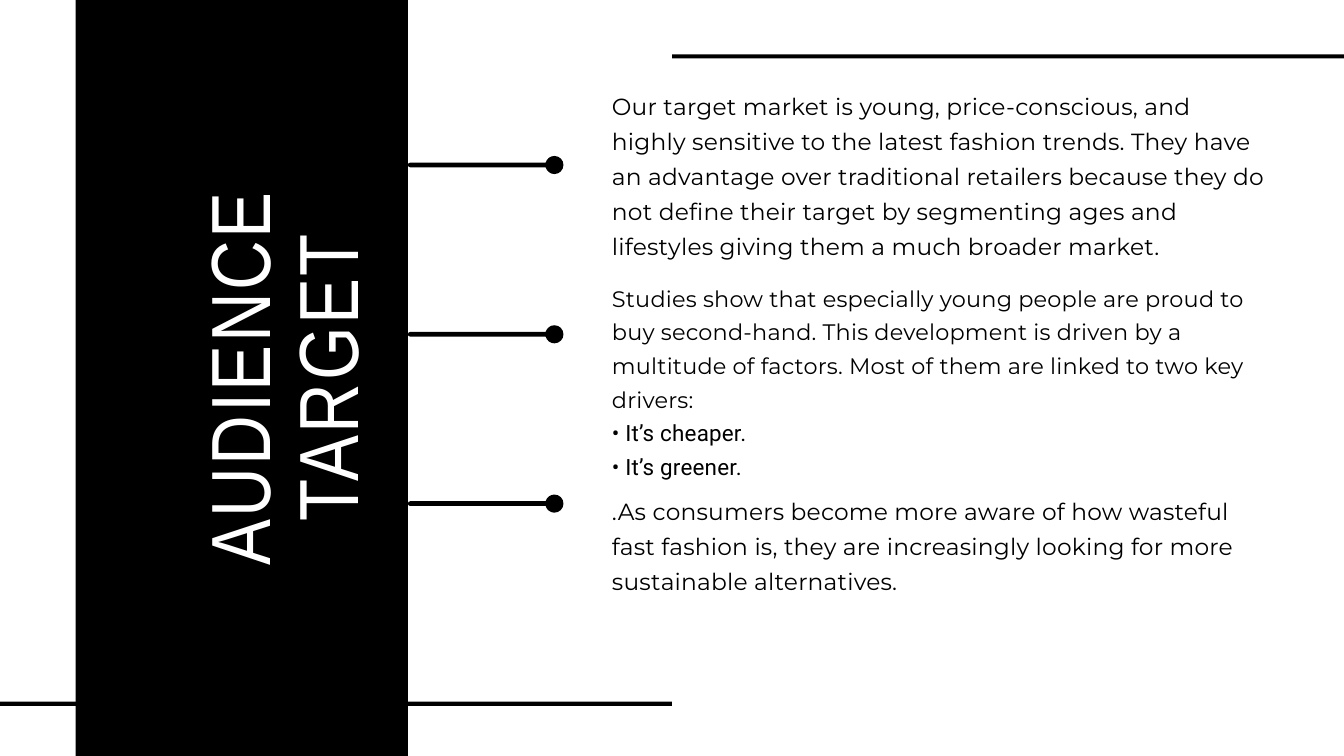
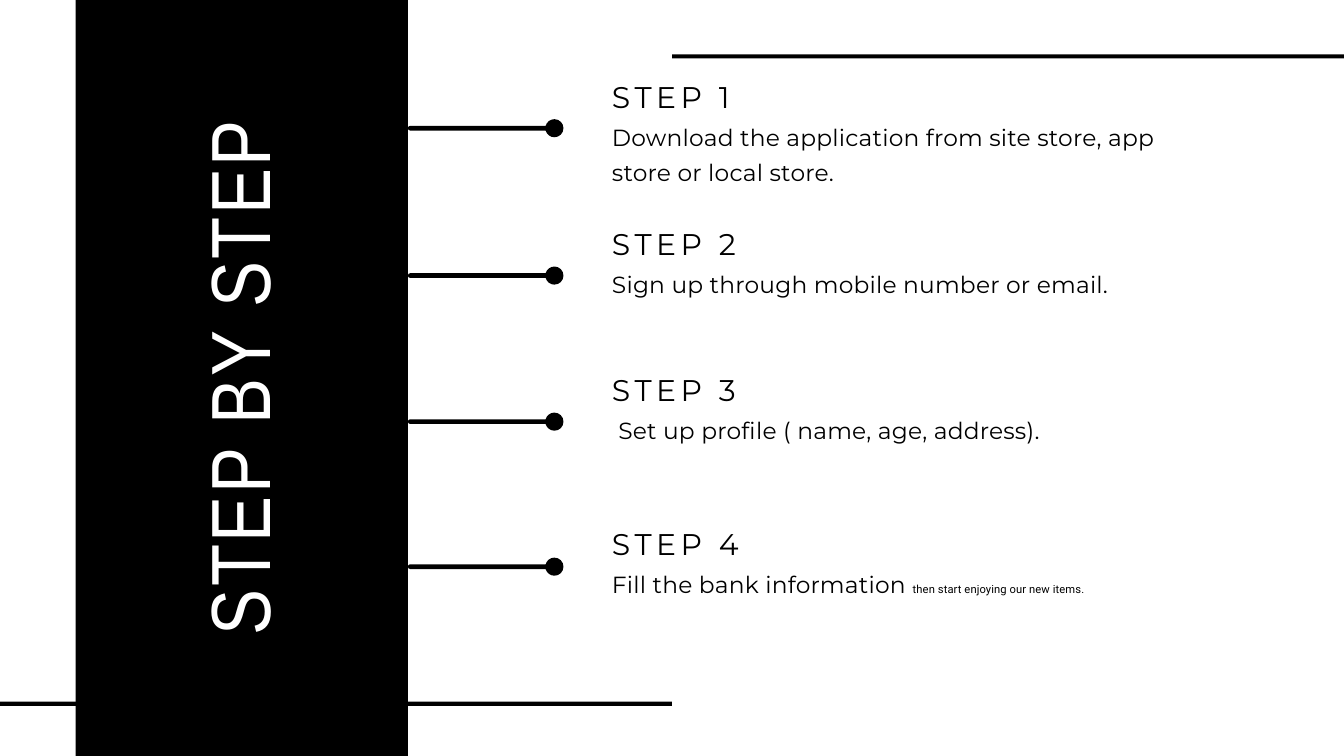
"""Build two slides, the target audience and the sign-up steps, on a shared black and white frame."""
from pptx import Presentation
from pptx.dml.color import RGBColor
from pptx.enum.shapes import MSO_SHAPE
from pptx.enum.text import MSO_ANCHOR, MSO_AUTO_SIZE, PP_ALIGN
from pptx.oxml.ns import qn
from pptx.util import Pt

COLOURS = {"ink": "000000", "paper": "FFFFFF"}
STYLES = {
    "title": dict(font="Arial Narrow", size=90, line=94.5, tracking=2.7, colour="paper"),
    "heading": dict(font="Montserrat", size=32, line=44.8, tracking=4.8, colour="ink"),
    "body": dict(font="Montserrat", size=25, line=37.5, tracking=0.25, colour="ink"),
    "drivers": dict(font="Montserrat", size=24, line=36, tracking=0.24, colour="ink"),
    "small": dict(font="Roboto", size=12, line=37.5, tracking=0.12, colour="ink"),
}
BANDS = [(-558, 751.8, 1278, 4.5), (720, 58.2, 1278, 4.5), (81, -16, 356, 842)]
TEXT_LEFT = 655.7
PIN_UPPER_HALF = [
    (437, 0), (437, -1.4), (438.1, -2.5), (439.5, -2.5), (584.6, -2.5), (585.8, -6.6),
    (589.5, -9.7), (594, -9.7), (599.4, -9.7), (603.7, -5.4), (603.7, 0),
]
PIN_OUTLINE = PIN_UPPER_HALF + [(x, -y) for x, y in reversed(PIN_UPPER_HALF[:-1])]
PIN_CURVE_STARTS = [0, 4, 7, 10, 13, 17]

AUDIENCE = [
    (91.4, 185, "body", "Our target market is young, price-conscious, and highly sensitive to the "
     "latest fashion trends. They have an advantage over traditional retailers because they do not "
     "define their target by segmenting ages and lifestyles giving them a much broader market."),
    (298, 209, "drivers", "Studies show that especially young people are proud to buy second-hand. "
     "This development is driven by a multitude of factors. Most of them are linked to two key "
     "drivers:\n• It’s cheaper.\n• It’s greener."),
    (525, 110, "body", ".As consumers become more aware of how wasteful fast fashion is, they are "
     "increasingly looking for more sustainable alternatives."),
]
STEPS = [
    (77.8, 71, "Download the application from site store, app store or local store."),
    (235.4, 34, "Sign up through mobile number or email."),
    (391.8, 34, " Set up profile ( name, age, address)."),
    (556.7, 71, "Fill the bank information "),
]
PAGES = [
    ("AUDIENCE TARGET", [176.8, 358.2, 539.6]),
    ("STEP BY STEP", [137.4, 295.3, 451.8, 607.2]),
]


def style_frame(frame, style_name):
    style = STYLES[style_name]
    frame.word_wrap = True
    frame.auto_size = MSO_AUTO_SIZE.NONE
    frame.vertical_anchor = MSO_ANCHOR.TOP
    frame.margin_left = frame.margin_right = frame.margin_top = frame.margin_bottom = 0
    for para in frame.paragraphs:
        para.line_spacing = Pt(style["line"])
        for span in para.runs:
            style_span(span, style)


def style_span(span, style):
    span.font.name = style["font"]
    span.font.size = Pt(style["size"])
    span.font.color.rgb = RGBColor.from_string(COLOURS[style["colour"]])
    span.font._element.set("spc", str(round(style["tracking"] * 100)))


deck = Presentation()
deck.slide_width, deck.slide_height = Pt(1440), Pt(810)

pages = []
for heading, pin_centres in PAGES:
    page = deck.slides.add_slide(deck.slide_layouts[5])
    pages.append(page)
    page.background.fill.solid()
    page.background.fill.fore_color.rgb = RGBColor.from_string(COLOURS["paper"])

    ink_shapes = []
    for band in BANDS:
        ink_shapes.append(page.shapes.add_shape(MSO_SHAPE.RECTANGLE, *map(Pt, band)))
    for centre in pin_centres:
        points = [(Pt(x), Pt(centre + y)) for x, y in PIN_OUTLINE]
        builder = page.shapes.build_freeform(*points[0])
        builder.add_line_segments(points[1:], close=True)
        pin = builder.convert_to_shape()
        segments = pin.element.findall(".//" + qn("a:lnTo"))
        for start in PIN_CURVE_STARTS:
            curve = segments[start]
            curve.tag = qn("a:cubicBezTo")
            for segment in segments[start + 1:start + 3]:
                curve.append(segment[0])
                segment.getparent().remove(segment)
        ink_shapes.append(pin)
    for shape in ink_shapes:
        shape.shadow.inherit = False
        shape.fill.solid()
        shape.fill.fore_color.rgb = RGBColor.from_string(COLOURS["ink"])
        shape.line.fill.background()

    title = page.shapes.title
    title.left, title.top, title.width, title.height = Pt(-70.8), Pt(355.7), Pt(666.7), Pt(98)
    title.rotation = 270
    title.text_frame.text = heading
    style_frame(title.text_frame, "title")
    title.text_frame.paragraphs[0].alignment = PP_ALIGN.CENTER
    title.element.getparent().append(title.element)

audience_page, steps_page = pages

for top, height, style_name, text in AUDIENCE:
    box = audience_page.shapes.add_textbox(Pt(TEXT_LEFT), Pt(top), Pt(703.4), Pt(height))
    box.text_frame.text = text
    style_frame(box.text_frame, style_name)
    for bullet in box.text_frame.paragraphs[1:]:
        bullet.runs[0].font.name = "Roboto"

for number, (top, body_height, text) in enumerate(STEPS, start=1):
    for offset, height, style_name, words in [
        (0, 41, "heading", f"STEP {number}"),
        (46.4, body_height, "body", text),
    ]:
        box = steps_page.shapes.add_textbox(Pt(TEXT_LEFT), Pt(top + offset), Pt(589), Pt(height))
        box.text_frame.text = words
        style_frame(box.text_frame, style_name)

closing = box.text_frame.paragraphs[0].add_run()
closing.text = "then start enjoying our new items."
style_span(closing, STYLES["small"])

deck.save("out.pptx")
